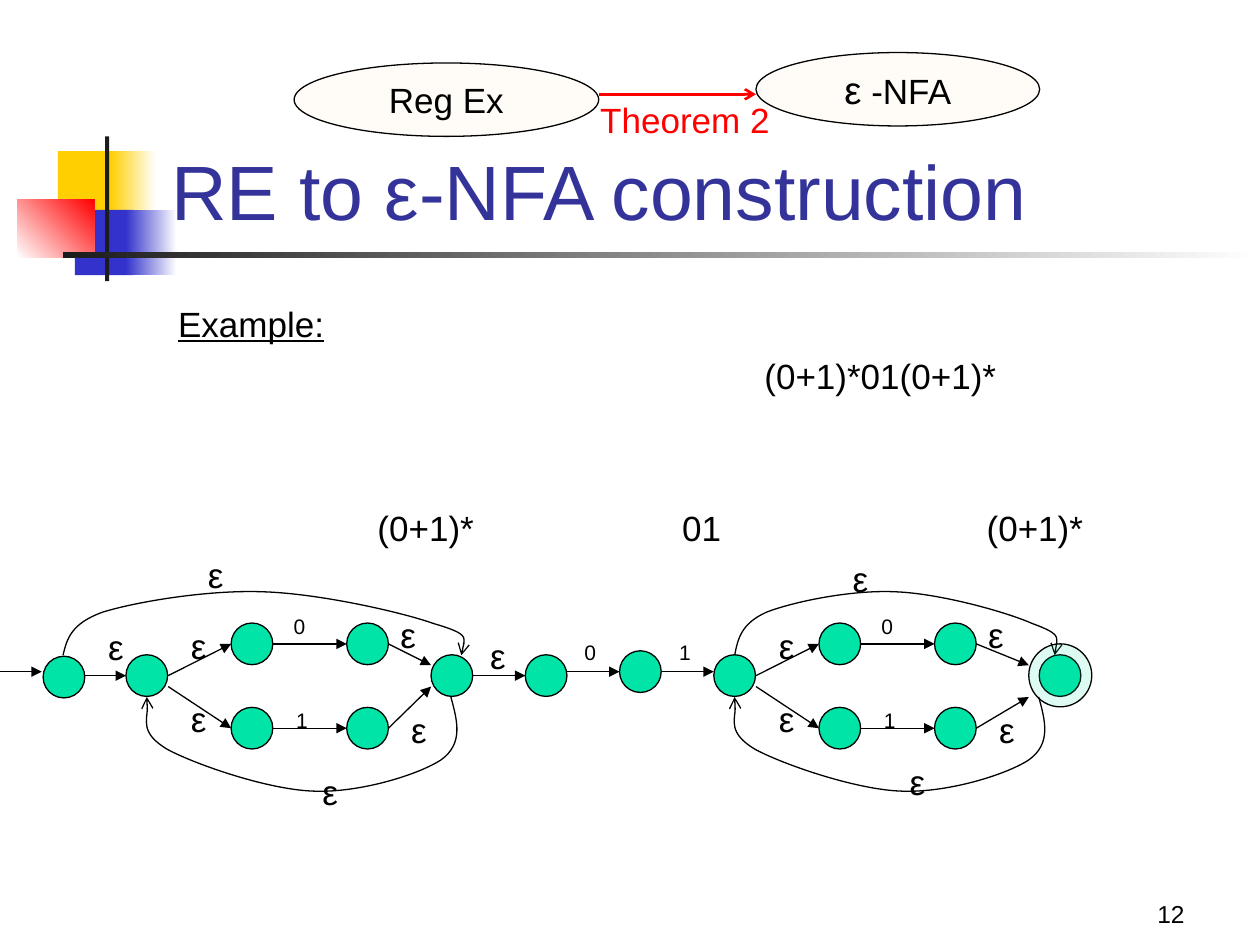
from lxml import etree
from pptx import Presentation
from pptx.dml.color import RGBColor
from pptx.enum.shapes import MSO_CONNECTOR, MSO_SHAPE
from pptx.enum.text import MSO_ANCHOR, PP_ALIGN
from pptx.oxml.ns import qn
from pptx.util import Cm, Pt

COLORS = {"ink": "000000", "title": "333399", "red": "FF0000", "yellow": "FFCF01",
          "blue": "3333CC", "bar": "1C1C1C", "white": "FFFFFF", "state": "00E4A8",
          "oval": "FFCC99"}
FONT = "Arial"
EPS = "ε"
STATE = 0.84  # diameter of a state, cm

# Decoration: left, top, width, height, colour, end colour, angle
DECORATION = [
    (1.17, 3.05, 1.22, 1.33, "yellow", None, 0),
    (2.23, 3.05, 0.91, 1.33, "yellow", "white", 0),
    (1.51, 4.23, 1.17, 1.32, "blue", None, 0),
    (2.54, 4.23, 1.02, 1.32, "blue", "white", 0),
    (0.35, 4.02, 1.55, 1.17, "white", "red", 45),
    (2.12, 2.75, 0.08, 2.92, "bar", None, 0),
    (1.27, 5.08, 24.13, 0.13, "bar", "white", 0),
]

# Ovals: left, top, width, height, runs
OVALS = [
    (15.24, 1.06, 5.72, 1.48, [(EPS, 22), (" -NFA", 20)]),
    (5.93, 1.27, 6.14, 1.48, [("Reg Ex", 20)]),
]

# Captions: text, left, top, width
CAPTIONS = [
    ("(0+1)*01(0+1)*", 15.16, 7.03, 5.2),
    ("(0+1)*", 7.36, 10.09, 2.45),
    ("01", 13.5, 10.09, 1.3),
    ("(0+1)*", 19.64, 10.09, 2.45),
]

# Star loop, x measured from its first state
LOOP_STATES = [(0, 13.2), (2.12, 12.56), (2.12, 14.26), (4.45, 12.56), (4.45, 14.26)]
LOOP_EDGES = [
    (0.85, 13.62, 2.12, 12.98), (0.85, 13.84, 2.12, 14.68),
    (2.96, 12.98, 4.45, 12.98), (2.96, 14.68, 4.45, 14.68),
]
LOOP_LABELS = [
    ("0", 3.13, 12.24), ("1", 3.18, 14.13), (EPS, 5.28, 12.24),
    (EPS, 5.5, 14.15), (EPS, 1.06, 12.46), (EPS, 1.06, 13.94),
]
RETURN_ARC = [
    (6.55, 14.05), (6.68, 14.53), (6.81, 14.99), (6.35, 15.32), (5.89, 15.62),
    (4.72, 15.98), (3.81, 15.95), (2.9, 15.93), (1.42, 15.42), (0.84, 15.11),
    (0.28, 14.78), (0.48, 14.22), (0.42, 14.05),
]
# x of the skip arc as a share of its span
SKIP_ARC = [
    (0, 13.21), (0.01, 12.88), (0.02, 12.57), (0.1, 12.34), (0.18, 12.14),
    (0.36, 11.89), (0.5, 11.93), (0.64, 11.96), (0.85, 12.34), (0.93, 12.57),
    (1.02, 12.78), (1.01, 12.98), (1, 13.21),
]
LOOPS = [
    {"x": 2.54, "end": 6.15, "joins": [(6.15, 13.41), (6.15, 13.84)],
     "skip": (1.27, 9.3), "labels": [(3.94, 11.03), (6.25, 15.4)]},
    {"x": 14.39, "end": 6.56, "joins": [(6.35, 13.41), (6.35, 14.05)],
     "skip": (14.81, 21.26), "labels": [(16.94, 11.11), (18.09, 15.21)]},
]

# Entry and the middle "01" chain
CHAIN_STATES = [(0.87, 13.23), (10.59, 13.2), (12.49, 13.12)]
CHAIN_EDGES = [
    (0, 13.54, 0.84, 13.54), (1.7, 13.62, 2.54, 13.62), (9.53, 13.62, 10.59, 13.62),
    (11.43, 13.54, 12.49, 13.54), (13.34, 13.54, 14.39, 13.54),
]
CHAIN_LABELS = [(EPS, 1.93, 12.49), (EPS, 9.63, 12.67), ("0", 11.53, 12.77),
                ("1", 13.44, 12.77)]

prs = Presentation()
prs.slide_width, prs.slide_height = Cm(25.4), Cm(19.05)
slide = prs.slides.add_slide(prs.slide_layouts[6])
shapes = slide.shapes


def rgb(name):
    return RGBColor.from_string(COLORS[name])


def style_run(run, size, color="ink"):
    run.font.name, run.font.size = FONT, Pt(size)
    run.font.color.rgb = rgb(color)


def add_label(text, x, y, w, h=1.1, size=20, color="ink", wrap=False):
    box = shapes.add_textbox(Cm(x), Cm(y), Cm(w), Cm(h))
    box.text_frame.text = text
    box.text_frame.word_wrap = wrap
    style_run(box.text_frame.paragraphs[0].runs[0], size, color)
    return box


def add_mark(text, x, y):
    if text == EPS:
        add_label(text, x, y, 0.81)
    else:
        add_label(text, x, y, 0.74, 0.76, 12)


def add_ellipse(x, y, w, h, color, opacity=100):
    oval = shapes.add_shape(MSO_SHAPE.OVAL, Cm(x), Cm(y), Cm(w), Cm(h))
    oval.shadow.inherit = False
    oval.fill.solid()
    oval.fill.fore_color.rgb = rgb(color)
    oval.line.color.rgb, oval.line.width = rgb("ink"), Pt(0.75)
    if opacity < 100:
        fill_color = oval.fill._xPr.find(qn("a:solidFill"))[0]
        etree.SubElement(fill_color, qn("a:alpha"), val=str(opacity * 1000))
    return oval


def add_state(x, y):
    add_ellipse(x, y, STATE, STATE, "state")


def style_arrow(line, head, color="ink", width=0.75):
    line.color.rgb, line.width = rgb(color), Pt(width)
    etree.SubElement(line._get_or_add_ln(), qn("a:tailEnd"), type=head)


def add_edge(x1, y1, x2, y2, head="triangle", color="ink", width=0.75):
    edge = shapes.add_connector(MSO_CONNECTOR.STRAIGHT, Cm(x1), Cm(y1), Cm(x2), Cm(y2))
    style_arrow(edge.line, head, color, width)
    etree.SubElement(edge._element.spPr, qn("a:effectLst"))


def add_arc(points):
    """A chain of cubic curves: a start, then three points for each curve."""
    start, *rest = [(Cm(x), Cm(y)) for x, y in points]
    builder = shapes.build_freeform(*start)
    builder.add_line_segments(rest, close=False)
    arc = builder.convert_to_shape()
    segments = list(arc._element.iter(qn("a:lnTo")))
    outline = segments[0].getparent()
    for i in range(0, len(segments), 3):
        curve = etree.SubElement(outline, qn("a:cubicBezTo"))
        for segment in segments[i:i + 3]:
            curve.append(segment[0])
            outline.remove(segment)
    arc.shadow.inherit = False
    arc.fill.background()
    style_arrow(arc.line, "arrow")


# Decoration
for x, y, w, h, color, end_color, angle in DECORATION:
    block = shapes.add_shape(MSO_SHAPE.RECTANGLE, Cm(x), Cm(y), Cm(w), Cm(h))
    block.shadow.inherit = False
    block.line.fill.background()
    if end_color:
        block.fill.gradient()
        block.fill.gradient_angle = angle
        for stop, position, name in zip(block.fill.gradient_stops, (0, 1), (color, end_color)):
            stop.position, stop.color.rgb = position, rgb(name)
    else:
        block.fill.solid()
        block.fill.fore_color.rgb = rgb(color)

# Title and page number
title = add_label("RE to ε-NFA construction", 3.2, 1.72, 21.64, 3.17, 44, "title", True)
page = add_label("12", 18.85, 17.58, 5.28, 1.27, 14, wrap=True)
page.text_frame.paragraphs[0].alignment = PP_ALIGN.RIGHT
for anchored in (title, page):
    anchored.text_frame.vertical_anchor = MSO_ANCHOR.BOTTOM

# Theorem diagram
for x, y, w, h, runs in OVALS:
    frame = add_ellipse(x, y, w, h, "oval", 8).text_frame
    frame.word_wrap, frame.vertical_anchor = False, MSO_ANCHOR.MIDDLE
    paragraph = frame.paragraphs[0]
    paragraph.alignment = PP_ALIGN.CENTER
    for text, size in runs:
        run = paragraph.add_run()
        run.text = text
        style_run(run, size)
add_edge(12.07, 1.9, 15.24, 1.9, "arrow", "red", 1.5)
add_label("Theorem 2", 11.85, 1.87, 3.94, color="red")

# Example captions
example = add_label("Example:", 3.34, 5.97, 3.45)
example.text_frame.paragraphs[0].runs[0].font.underline = True
for caption in CAPTIONS:
    add_label(*caption)

# Star loops
for loop in LOOPS:
    x0 = loop["x"]
    joins = [(5.29, y, *end) for y, end in zip((12.98, 14.68), loop["joins"])]
    for x, y in LOOP_STATES + [(loop["end"], 13.2)]:
        add_state(x0 + x, y)
    for x1, y1, x2, y2 in LOOP_EDGES + joins:
        add_edge(x0 + x1, y1, x0 + x2, y2)
    for text, x, y in LOOP_LABELS:
        add_mark(text, x0 + x, y)
    left, right = loop["skip"]
    add_arc([(x0 + x, y) for x, y in RETURN_ARC])
    add_arc([(left + share * (right - left), y) for share, y in SKIP_ARC])
    for x, y in loop["labels"]:
        add_mark(EPS, x, y)
add_ellipse(20.74, 12.98, 1.27, 1.27, "state", 13)  # accepting ring

# Entry and middle chain
for state in CHAIN_STATES:
    add_state(*state)
for edge_ends in CHAIN_EDGES:
    add_edge(*edge_ends)
for mark in CHAIN_LABELS:
    add_mark(*mark)

prs.save("out.pptx")
